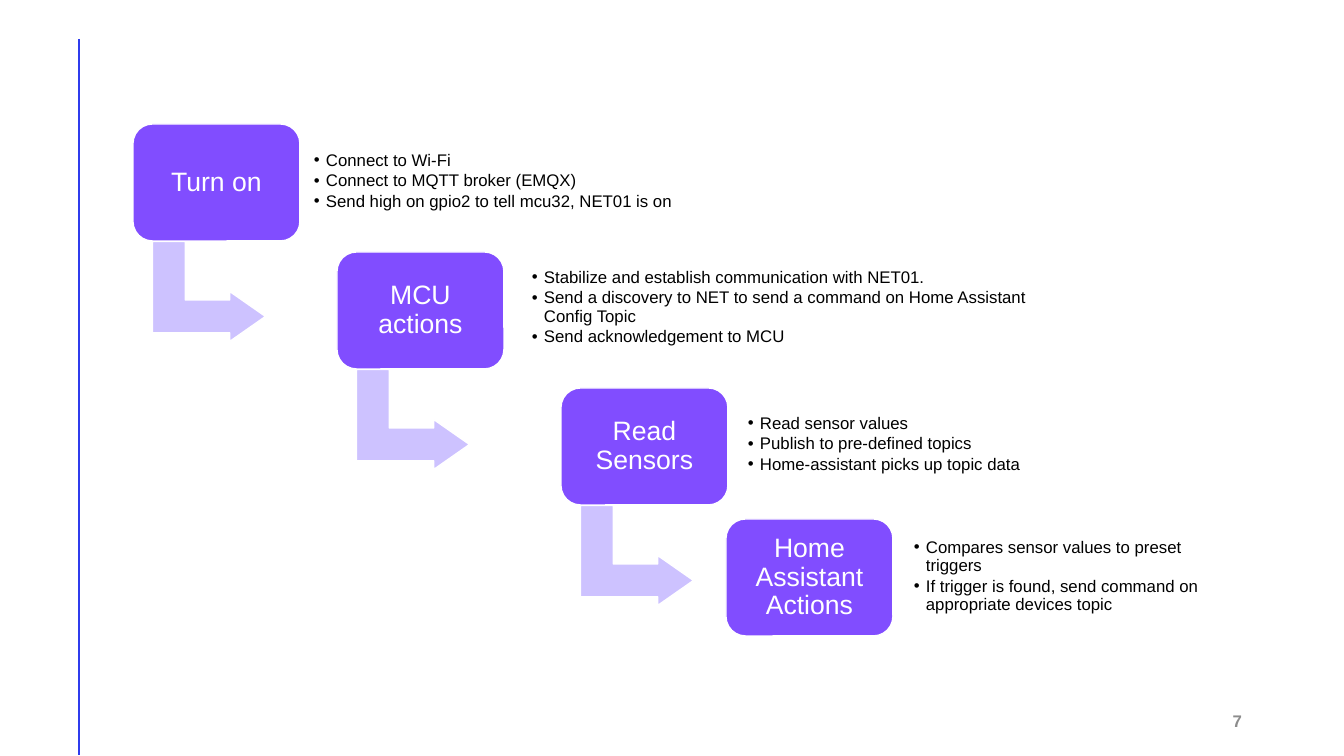
from typing import NamedTuple

from lxml import etree
from pptx import Presentation, util as u
from pptx.dml.color import RGBColor
from pptx.enum import shapes, text
from pptx.oxml.ns import qn

EMU_PER_PX = 914400 / 100.8
FONT = "Arial"
WHITE, BLACK, GRAY = "FFFFFF", "000000", "8C8C8C"
PURPLE, LILAC, BLUE = "814DFF", "CDC2FF", "2F3CED"
STEP_W, STEP_H = 167, 117
ARROW_DX, ARROW_DY, ARROW_W, ARROW_H = 26, 111, 100, 113
BULLET_INDENT = 12


class Box(NamedTuple):
    left: int
    top: int
    width: int
    height: int


class Step(NamedTuple):
    name: str
    left: int
    top: int
    details: Box
    bullets: list[str]


STEPS = [
    Step("Turn on", 133, 124, Box(309, 138, 537, 87), [
        "Connect to Wi-Fi",
        "Connect to MQTT broker (EMQX)",
        "Send high on gpio2 to tell mcu32, NET01 is on",
    ]),
    Step("MCU actions", 337, 252, Box(527, 260, 536, 95), [
        "Stabilize and establish communication with NET01.",
        "Send a discovery to NET to send a command on Home Assistant Config Topic",
        "Send acknowledgement to MCU",
    ]),
    Step("Read Sensors", 561, 388, Box(743, 397, 385, 95), [
        "Read sensor values",
        "Publish to pre-defined topics",
        "Home-assistant picks up topic data",
    ]),
    Step("Home Assistant Actions", 726, 519, Box(909, 529, 314, 95), [
        "Compares sensor values to preset triggers",
        "If trigger is found, send command on appropriate devices topic",
    ]),
]


def px(n: int) -> u.Emu:
    return u.Emu(round(n * EMU_PER_PX))


def rgb(color: str) -> RGBColor:
    return RGBColor.from_string(color)


def set_up_frame(tf, inset: int) -> None:
    """Wrap the text, centre it vertically and use equal insets."""
    tf.word_wrap = True
    tf.vertical_anchor = text.MSO_ANCHOR.MIDDLE
    tf.margin_left = tf.margin_right = tf.margin_top = tf.margin_bottom = px(inset)


def add_run(p, content: str, size: int, color: str):
    r = p.add_run()
    r.text = content
    r.font.name = FONT
    r.font.size = u.Pt(size)
    r.font.color.rgb = rgb(color)
    return r


def add_filled(slide, kind, box: Box, fill: str, adjustments: list[float]):
    sp = slide.shapes.add_shape(kind, *map(px, box))
    sp.shadow.inherit = False
    sp.fill.solid()
    sp.fill.fore_color.rgb = rgb(fill)
    sp.line.color.rgb = rgb(WHITE)
    sp.line.width = u.Pt(1)
    for i, value in enumerate(adjustments):
        sp.adjustments[i] = value
    return sp


def add_bullet(p) -> None:
    pPr = p._p.get_or_add_pPr()
    pPr.set("marL", str(px(BULLET_INDENT)))
    pPr.set("indent", str(-px(BULLET_INDENT)))
    etree.SubElement(pPr, qn("a:buFont")).set("typeface", FONT)
    etree.SubElement(pPr, qn("a:buChar")).set("char", "•")


def add_arrow(slide, step: Step) -> None:
    box = Box(step.left + ARROW_DX, step.top + ARROW_DY, ARROW_W, ARROW_H)
    sp = add_filled(slide, shapes.MSO_SHAPE.BENT_UP_ARROW, box, LILAC,
                    [0.328, 0.25, 0.358])
    sp.rotation = 90


def add_step(slide, step: Step) -> None:
    box = Box(step.left, step.top, STEP_W, STEP_H)
    sp = add_filled(slide, shapes.MSO_SHAPE.ROUNDED_RECTANGLE, box, PURPLE, [0.167])
    set_up_frame(sp.text_frame, 8)
    p = sp.text_frame.paragraphs[0]
    p.alignment = text.PP_ALIGN.CENTER
    p.line_spacing = 0.9
    add_run(p, step.name, 19, WHITE)


def add_details(slide, step: Step) -> None:
    tf = slide.shapes.add_textbox(*map(px, step.details)).text_frame
    set_up_frame(tf, 5)
    for i, bullet in enumerate(step.bullets):
        p = tf.add_paragraph() if i else tf.paragraphs[0]
        add_bullet(p)
        p.level = 1
        p.line_spacing = 0.9
        p.space_after = u.Pt(1.8)
        add_run(p, bullet, 12, BLACK)


def add_side_line(slide) -> None:
    line = slide.shapes.add_connector(shapes.MSO_CONNECTOR.STRAIGHT,
                                      px(79), px(39), px(79), px(755))
    line.line.color.rgb = rgb(BLUE)
    line.line.width = u.Pt(2)
    etree.SubElement(line._element.spPr, qn("a:effectLst"))


def add_page_number(slide, number: str) -> None:
    tf = slide.shapes.add_textbox(*map(px, Box(950, 701, 302, 40))).text_frame
    set_up_frame(tf, 10)
    p = tf.paragraphs[0]
    p.alignment = text.PP_ALIGN.RIGHT
    r = add_run(p, number, 12, GRAY)
    r.font.bold = True
    r._r.get_or_add_rPr().set("spc", "100")


def main() -> None:
    prs = Presentation()
    prs.slide_width, prs.slide_height = px(1344), px(756)
    slide = prs.slides.add_slide(prs.slide_layouts.get_by_name("Blank"))
    add_side_line(slide)
    add_page_number(slide, "7")
    for step in STEPS:
        if step is not STEPS[-1]:
            add_arrow(slide, step)
        add_step(slide, step)
        add_details(slide, step)
    prs.save("out.pptx")


if __name__ == "__main__":
    main()
